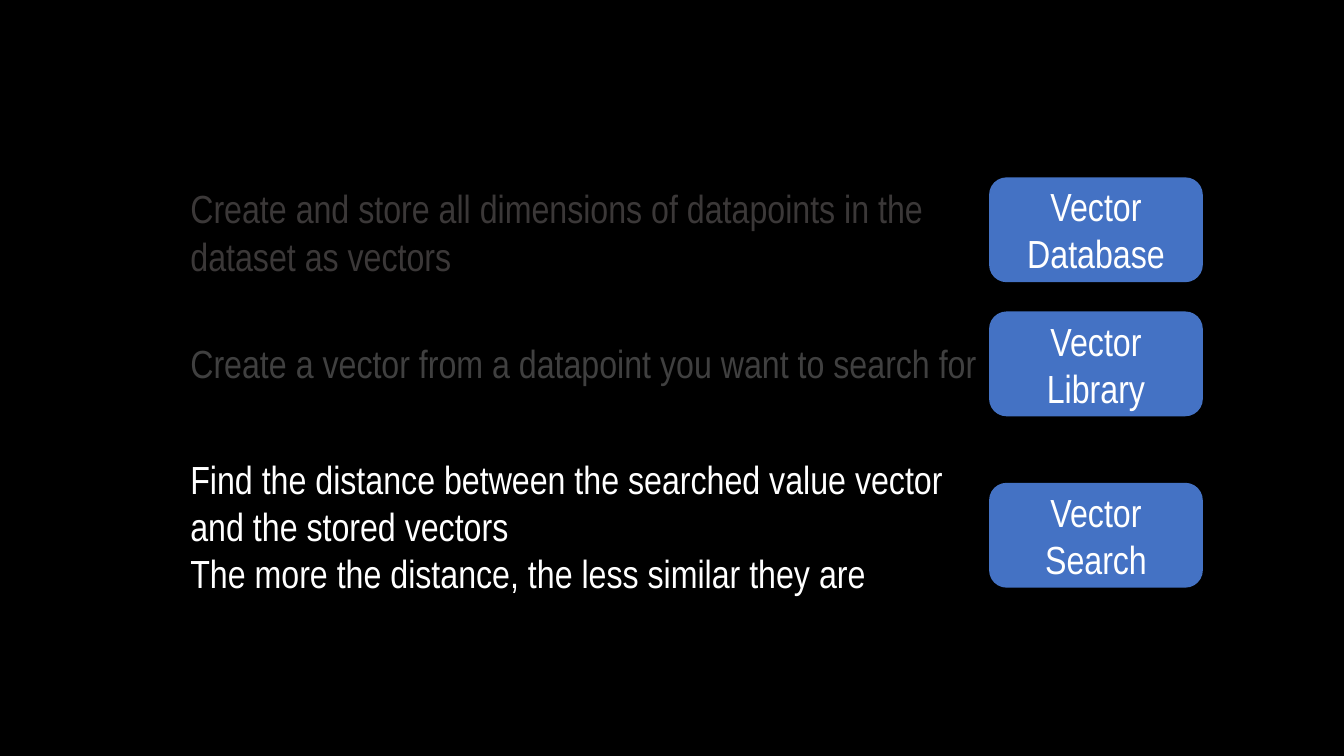
from pptx import Presentation
from pptx.dml.color import RGBColor
from pptx.enum import shapes, text
from pptx.util import Inches, Pt

BLACK = RGBColor(0x00, 0x00, 0x00)
WHITE = RGBColor(0xFF, 0xFF, 0xFF)
DIM_BROWN = RGBColor(0x3B, 0x38, 0x38)
DIM_GRAY = RGBColor(0x40, 0x40, 0x40)
BLUE = RGBColor(0x44, 0x72, 0xC4)

FONT = "Arial Narrow"
FONT_SIZE = 28
STEP_LEFT = 1.79
BUTTON_LEFT, BUTTON_WIDTH, BUTTON_HEIGHT = 9.81, 2.12, 1.04

STEPS = [
    (1.78, 7.91, 1.04, True, DIM_BROWN,
     ["Create and store all dimensions of datapoints in the dataset as vectors"]),
    (3.31, 8.25, 0.57, False, DIM_GRAY,
     ["Create a vector from a datapoint you want to search for"]),
    (4.46, 7.83, 1.51, True, WHITE,
     ["Find the distance between the searched value vector and the stored vectors",
      "The more the distance, the less similar they are"]),
]
BUTTONS = [(1.76, "Vector Database"), (3.09, "Vector Library"), (4.79, "Vector Search")]


def write_lines(frame, lines, color, align):
    frame.vertical_anchor = text.MSO_ANCHOR.MIDDLE
    for index, line in enumerate(lines):
        para = frame.add_paragraph() if index else frame.paragraphs[0]
        para.text = line
        para.alignment = align
        para.font.name = FONT
        para.font.size = Pt(FONT_SIZE)
        para.font.color.rgb = color


def add_step(page, top, width, height, wrap, color, lines):
    box = page.shapes.add_textbox(
        Inches(STEP_LEFT), Inches(top), Inches(width), Inches(height))
    box.text_frame.word_wrap = wrap
    box.text_frame.auto_size = text.MSO_AUTO_SIZE.SHAPE_TO_FIT_TEXT
    write_lines(box.text_frame, lines, color, text.PP_ALIGN.LEFT)


def add_button(page, top, label):
    button = page.shapes.add_shape(
        shapes.MSO_SHAPE.ROUNDED_RECTANGLE, Inches(BUTTON_LEFT), Inches(top),
        Inches(BUTTON_WIDTH), Inches(BUTTON_HEIGHT))
    button.shadow.inherit = False
    button.fill.solid()
    button.fill.fore_color.rgb = BLUE
    button.line.fill.background()
    button.text_frame.word_wrap = True
    write_lines(button.text_frame, [label], WHITE, text.PP_ALIGN.CENTER)


def main():
    deck = Presentation()
    deck.slide_width = Inches(13.33)
    deck.slide_height = Inches(7.5)
    page = deck.slides.add_slide(deck.slide_layouts.get_by_name("Blank"))
    page.background.fill.solid()
    page.background.fill.fore_color.rgb = BLACK
    for step in STEPS:
        add_step(page, *step)
    for top, label in BUTTONS:
        add_button(page, top, label)
    deck.save("out.pptx")


if __name__ == "__main__":
    main()
